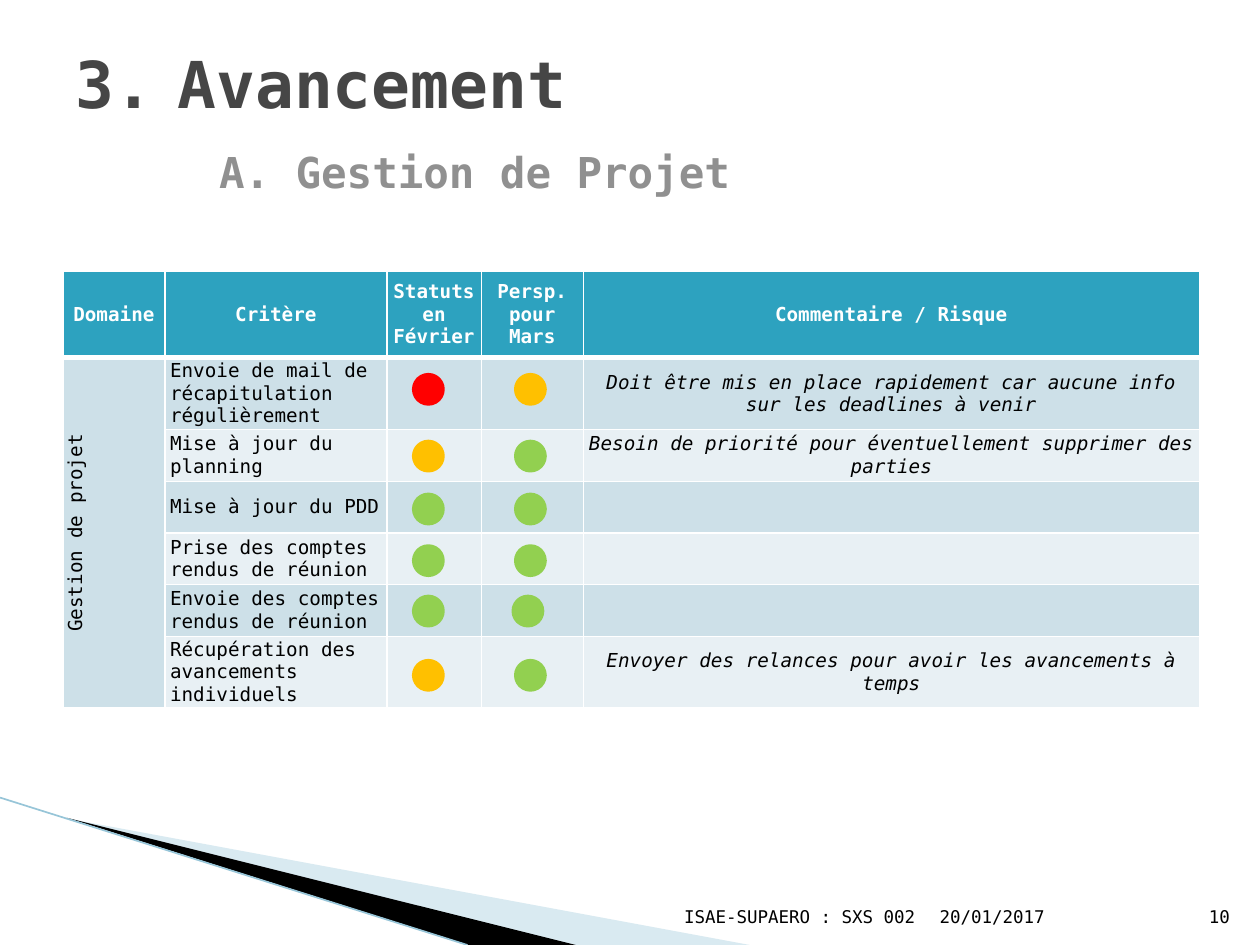
from dataclasses import dataclass

from lxml.etree import SubElement
from pptx import Presentation
from pptx.dml.color import RGBColor
from pptx.enum.shapes import MSO_CONNECTOR, MSO_SHAPE
from pptx.enum.text import MSO_ANCHOR, PP_ALIGN
from pptx.oxml.ns import qn
from pptx.util import Inches, Pt


@dataclass(frozen=True)
class Theme:
    font: str = "DejaVu Sans Mono"
    title: str = "464646"
    subtitle: str = "909090"
    black: str = "000000"
    white: str = "FFFFFF"
    header: str = "2DA2BF"
    bands: tuple = ("CDE0E8", "E8F0F4")
    wedge: str = "A0CBDC"
    edge: str = "97C5D8"
    red: str = "FF0000"
    amber: str = "FFC000"
    green: str = "92D050"
    title_size: float = 36.9
    subtitle_size: float = 24.3
    table_size: float = 11
    footer_size: float = 10


THEME = Theme()
RED, AMBER, GREEN = THEME.red, THEME.amber, THEME.green

COLUMN_WIDTHS = (8.1, 17.6, 7.5, 8.1, 48.9)
ROW_HEIGHTS = (6.9, 5.6, 4.1, 4.1, 4.1, 4.1, 5.6)
HEADERS = ("Domaine", "Critère", "Statuts en Février", "Persp.\npour Mars",
           "Commentaire / Risque")
DOMAIN = "Gestion de projet"
# Criterion, comment, then top and (left, colour) of the two status dots
CRITERIA = (
    ("Envoie de mail de récapitulation régulièrement",
     "Doit être mis en place rapidement car aucune info sur les deadlines à venir",
     29.9, ((33, RED), (41.1, AMBER))),
    ("Mise à jour du planning",
     "Besoin de priorité pour éventuellement supprimer des parties",
     35.2, ((33, AMBER), (41.1, GREEN))),
    ("Mise à jour du PDD", "", 39.4, ((33, GREEN), (41.1, GREEN))),
    ("Prise des comptes rendus de réunion", "", 43.5, ((33, GREEN), (41.1, GREEN))),
    ("Envoie des comptes rendus de réunion", "", 47.5, ((33, GREEN), (40.9, GREEN))),
    ("Récupération des avancements individuels",
     "Envoyer des relances pour avoir les avancements à temps",
     52.6, ((33, AMBER), (41.1, GREEN))),
)


def grid(*units):
    """Lengths on a grid of 100 columns by 75 rows, a tenth of an inch each."""
    return [Inches(unit / 10) for unit in units]


def rgb(code):
    return RGBColor.from_string(code)


class SlideBuilder:
    def __init__(self, deck, theme):
        self.theme = theme
        self.slide = deck.slides.add_slide(deck.slide_layouts[6])
        self.shapes = self.slide.shapes

    def style(self, para, size, color, bold=False, italic=False, align=PP_ALIGN.LEFT):
        para.alignment = align
        font = para.font
        font.name, font.size = self.theme.font, Pt(size)
        font.bold, font.italic = bold, italic
        font.color.rgb = rgb(color)

    def text_box(self, area, anchor):
        frame = self.shapes.add_textbox(*grid(*area)).text_frame
        frame.word_wrap = True
        frame.vertical_anchor = anchor
        return frame

    def title(self, area, number, title, subtitle):
        frame = self.text_box(area, MSO_ANCHOR.TOP)
        heading = frame.paragraphs[0]
        heading.text = title
        properties = heading._p.get_or_add_pPr()
        indent = Inches(0.81)
        properties.set("marL", str(indent))
        properties.set("indent", str(-indent))
        SubElement(properties, qn("a:buAutoNum"), type="arabicPeriod", startAt=str(number))
        self.style(heading, self.theme.title_size, self.theme.title, bold=True)

        para = frame.add_paragraph()
        para.text = subtitle
        para._p.get_or_add_pPr().set("marL", str(Inches(1.14)))
        para.space_before = Pt(14)
        self.style(para, self.theme.subtitle_size, self.theme.subtitle, bold=True)

    def footer(self, left, width, text, align):
        para = self.text_box((left, 70.1, width, 4), MSO_ANCHOR.BOTTOM).paragraphs[0]
        para.text = text
        self.style(para, self.theme.footer_size, self.theme.black, align=align)

    def wedge(self, points, color, opacity=100):
        start, *others = [grid(*point) for point in points]
        outline = self.shapes.build_freeform(*start)
        outline.add_line_segments(others, close=True)
        shape = outline.convert_to_shape()
        shape.shadow.inherit = False
        shape.line.fill.background()
        shape.fill.solid()
        shape.fill.fore_color.rgb = rgb(color)
        if opacity < 100:
            color_node = next(shape._element.spPr.iter(qn("a:srgbClr")))
            SubElement(color_node, qn("a:alpha"), val=str(opacity * 1000))

    def line(self, start, end, color, width):
        connector = self.shapes.add_connector(MSO_CONNECTOR.STRAIGHT, *grid(*start, *end))
        connector.line.color.rgb = rgb(color)
        connector.line.width = Pt(width)
        SubElement(connector._element.spPr, qn("a:effectLst"))

    def dot(self, left, top, color):
        shape = self.shapes.add_shape(MSO_SHAPE.OVAL, *grid(left, top, 2, 2))
        shape.shadow.inherit = False
        shape.fill.solid()
        shape.fill.fore_color.rgb = rgb(color)
        shape.line.color.rgb = rgb(color)
        shape.line.width = Pt(4.33)

    def table(self, left, top, widths, heights):
        area = grid(left, top, sum(widths), sum(heights))
        table = self.shapes.add_table(len(heights), len(widths), *area).table
        for column, width in zip(table.columns, grid(*widths)):
            column.width = width
        for row, height in zip(table.rows, grid(*heights)):
            row.height = height
        return table

    def cell(self, cell, text, fill, color, bottom=1, **style):
        cell.margin_left = cell.margin_right = Inches(0.04)
        cell.margin_top = cell.margin_bottom = Inches(0.01)
        cell.vertical_anchor = MSO_ANCHOR.MIDDLE
        properties = cell._tc.get_or_add_tcPr()
        for side, width in (("L", 1), ("R", 1), ("T", 1), ("B", bottom)):
            border = SubElement(properties, qn(f"a:ln{side}"), w=str(Pt(width)))
            paint = SubElement(border, qn("a:solidFill"))
            SubElement(paint, qn("a:srgbClr"), val=self.theme.white)
        cell.fill.solid()
        cell.fill.fore_color.rgb = rgb(fill)
        cell.text = text
        for para in cell.text_frame.paragraphs:
            self.style(para, self.theme.table_size, color, **style)


def main():
    deck = Presentation()
    deck.slide_width, deck.slide_height = grid(100, 75)
    page = SlideBuilder(deck, THEME)

    # Corner decoration
    page.wedge(((5.5, 65), (59.5, 75), (45.6, 75)), THEME.wedge, opacity=40)
    page.wedge(((5.3, 64.9), (45.7, 75), (37.2, 75)), THEME.black)
    page.line((0, 63.3), (37.1, 75), THEME.edge, 0.95)

    # Footer and title
    page.footer(73.6, 21, "20/01/2017", PP_ALIGN.LEFT)
    page.footer(47.9, 25.7, "ISAE-SUPAERO : SXS 002", PP_ALIGN.RIGHT)
    page.footer(94.6, 4, "10", PP_ALIGN.RIGHT)
    page.title((5, 3, 90, 12.5), 3, "Avancement", "A. Gestion de Projet")

    # Progress table
    table = page.table(5, 21.5, COLUMN_WIDTHS, ROW_HEIGHTS)
    for column, header in enumerate(HEADERS):
        page.cell(table.cell(0, column), header, THEME.header, THEME.white,
                  bottom=3, bold=True, align=PP_ALIGN.CENTER)
    for row, (criterion, comment, _, _) in enumerate(CRITERIA, start=1):
        fill = THEME.bands[(row - 1) % 2]
        for column, text in enumerate((criterion, "", "", comment), start=1):
            is_comment = column == 4
            page.cell(table.cell(row, column), text, fill, THEME.black, italic=is_comment,
                      align=PP_ALIGN.CENTER if is_comment else PP_ALIGN.LEFT)
    domain = table.cell(1, 0)
    domain.merge(table.cell(len(CRITERIA), 0))
    page.cell(domain, DOMAIN, THEME.bands[0], THEME.black, align=PP_ALIGN.CENTER)
    domain._tc.get_or_add_tcPr().set("vert", "vert270")

    # Status dots
    for _, _, top, dots in CRITERIA:
        for left, color in dots:
            page.dot(left, top, color)

    deck.save("out.pptx")


if __name__ == "__main__":
    main()
